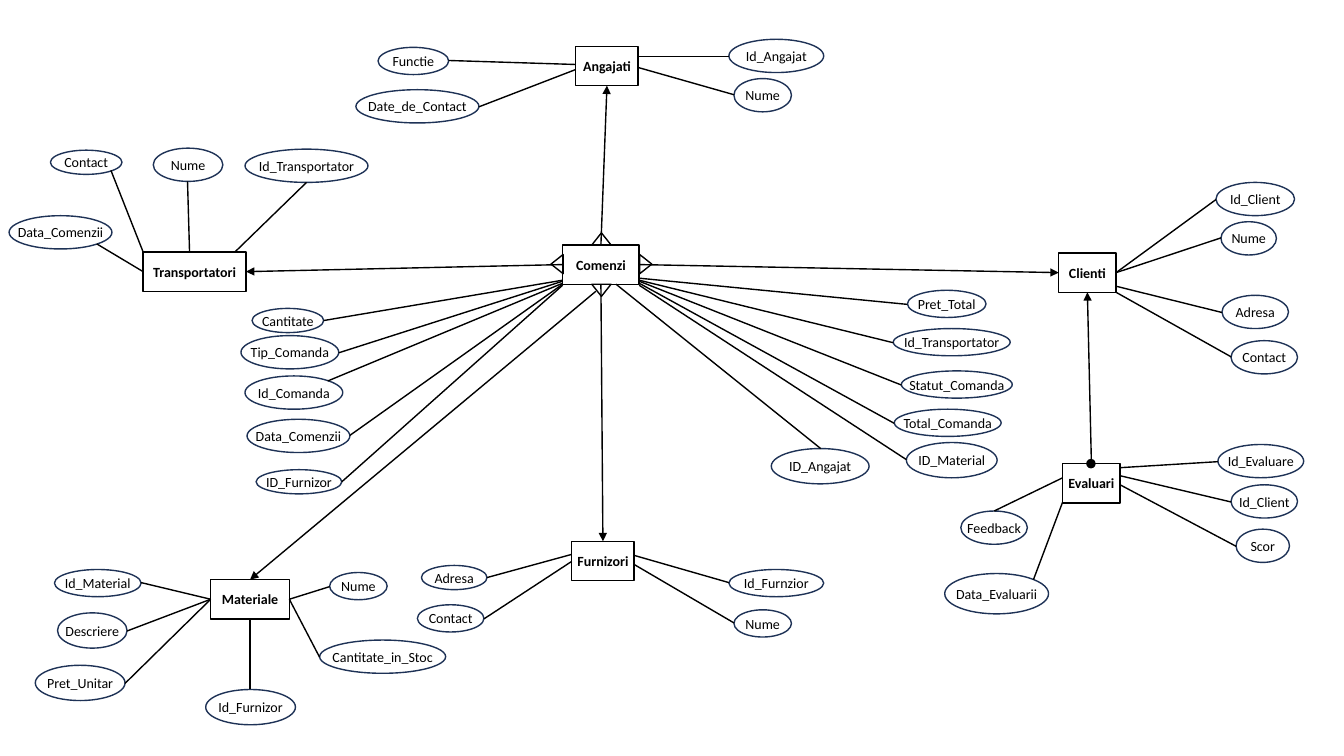
from pptx import Presentation
from pptx.dml.color import RGBColor
from pptx.enum.shapes import MSO_CONNECTOR, MSO_SHAPE as Preset
from pptx.enum.text import MSO_ANCHOR, PP_ALIGN
from pptx.oxml.ns import qn
from pptx.util import Emu, Pt
from lxml.etree import SubElement

PX = 9144
BLACK = RGBColor(0x00, 0x00, 0x00)
NAVY = RGBColor(0x1E, 0x32, 0x56)
TOP, LEFT, BOTTOM, RIGHT, UPPER_RIGHT, LOWER_RIGHT = range(6)
FRACTIONS = [(0.5, 0), (0, 0.5), (0.5, 1), (1, 0.5), (0.85, 0.15), (0.85, 0.85)]
FACING = {TOP: BOTTOM, LEFT: RIGHT, BOTTOM: TOP, RIGHT: LEFT}
FOOT_ROTATION = {TOP: 0, RIGHT: 90, BOTTOM: 180, LEFT: 270}
FLAT, LOW, MIDDLE, TALL, HIGH = 24, 27, 33, 35, 40
ENTITY_HEIGHT = 39
FOOT_WIDTH, FOOT_HEIGHT = 19, 12
DOT = 8

ENTITIES = {
    "Comenzi": (558, 243, 76),
    "Clienti": (1050, 251, 57),
    "Evaluari": (1054, 460, 57),
    "Furnizori": (567, 537, 62),
    "Angajati": (571, 46, 62),
    "Transportatori": (142, 250, 102),
    "Materiale": (209, 575, 78),
}

# Entity, side, first and last line end along that side (None: its middle),
# then attributes: name, left, top, width, height, own anchor if not facing.
GROUPS = [
    ("Comenzi", LEFT, (35, 40), [
        ("Cantitate", 250, 306, 71, FLAT),
        ("Tip_Comanda", 239, 333, 97, MIDDLE),
        ("Id_Comanda", 243, 373, 97, MIDDLE, UPPER_RIGHT),
        ("Data_Comenzii", 245, 416, 102, MIDDLE),
        ("ID_Furnizor", 254, 466, 85, FLAT)]),
    ("Comenzi", RIGHT, (33, 40), [
        ("Pret_Total", 900, 288, 78, LOW),
        ("Id_Transportator", 886, 326, 116, LOW),
        ("Statut_Comanda", 894, 368, 110, LOW),
        ("Total_Comanda", 887, 406, 106, LOW),
        ("ID_Material", 899, 439, 90, TALL)]),
    ("Comenzi", BOTTOM, (53, 53), [("ID_Angajat", 765, 445, 97, TALL)]),
    ("Clienti", RIGHT, None, [
        ("Id_Client", 1206, 181, 78, MIDDLE),
        ("Nume", 1211, 220, 55, MIDDLE)]),
    ("Clienti", RIGHT, (33, 39), [
        ("Adresa", 1212, 293, 66, MIDDLE),
        ("Contact", 1221, 338, 66, MIDDLE)]),
    ("Evaluari", RIGHT, (4, 21), [
        ("Id_Evaluare", 1208, 441, 85, MIDDLE),
        ("Id_Client", 1221, 481, 66, MIDDLE),
        ("Scor", 1226, 525, 53, MIDDLE)]),
    ("Evaluari", LEFT, (14, 38), [
        ("Feedback", 953, 507, 66, MIDDLE, TOP),
        ("Data_Evaluarii", 937, 569, 103, HIGH, UPPER_RIGHT)]),
    ("Furnizori", RIGHT, (14, 23), [
        ("Id_Furnzior", 723, 565, 94, LOW),
        ("Nume", 728, 605, 57, LOW)]),
    ("Furnizori", LEFT, (13, 20), [
        ("Adresa", 418, 561, 65, FLAT),
        ("Contact", 414, 600, 66, LOW)]),
    ("Angajati", RIGHT, (10, 21), [
        ("Id_Angajat", 723, 39, 94, MIDDLE),
        ("Nume", 728, 78, 57, MIDDLE)]),
    ("Angajati", LEFT, (18, 23), [
        ("Functie", 375, 47, 70, LOW),
        ("Date_de_Contact", 353, 89, 122, MIDDLE)]),
    ("Transportatori", TOP, (0, 91), [
        ("Contact", 50, 149, 71, FLAT, LOWER_RIGHT),
        ("Nume", 152, 147, 69, MIDDLE),
        ("Id_Transportator", 243, 148, 122, MIDDLE)]),
    ("Transportatori", LEFT, None, [
        ("Data_Comenzii", 9, 214, 102, MIDDLE, LOWER_RIGHT)]),
    ("Materiale", LEFT, None, [
        ("Id_Material", 54, 565, 86, LOW),
        ("Descriere", 57, 608, 69, TALL),
        ("Pret_Unitar", 35, 660, 89, TALL)]),
    ("Materiale", RIGHT, None, [
        ("Nume", 327, 568, 57, LOW),
        ("Cantitate_in_Stoc", 317, 635, 125, MIDDLE)]),
    ("Materiale", BOTTOM, None, [("Id_Furnizor", 204, 684, 89, TALL)]),
]

RELATIONS = [
    ("Comenzi", LEFT, "Transportatori", RIGHT),
    ("Comenzi", BOTTOM, "Furnizori", TOP),
    ("Comenzi", TOP, "Angajati", BOTTOM),
    ("Comenzi", RIGHT, "Clienti", LEFT),
    ("Evaluari", TOP, "Clienti", BOTTOM),
]


def anchor_point(box, anchor):
    left, top, width, height = box
    across, down = FRACTIONS[anchor]
    return round(left + across * width), round(top + down * height)


def side_point(box, side, offset):
    x, y = anchor_point(box, side)
    return (x, box[1] + offset) if side in (LEFT, RIGHT) else (box[0] + offset, y)


class Diagram:
    font_name = "Calibri"
    font_size = Pt(10)
    line_width = Pt(1)

    def __init__(self, slide):
        self.slide = slide
        self.boxes = {}
        self.entities = {}

    def shape(self, preset, box, color, text="", bold=False):
        shape = self.slide.shapes.add_shape(preset, *(Emu(n * PX) for n in box))
        shape.shadow.inherit = False
        shape.fill.background()
        shape.line.color.rgb = color
        shape.line.width = self.line_width
        if text:
            frame = shape.text_frame
            frame.word_wrap = False
            frame.vertical_anchor = MSO_ANCHOR.MIDDLE
            frame.margin_left = frame.margin_right = 0
            frame.margin_top = frame.margin_bottom = 0
            paragraph = frame.paragraphs[0]
            paragraph.text = text
            paragraph.alignment = PP_ALIGN.CENTER
            font = paragraph.font
            font.name, font.size, font.bold = self.font_name, self.font_size, bold
            font.color.rgb = BLACK
        return shape

    def connector(self, start, end, arrow=False):
        connector = self.slide.shapes.add_connector(
            MSO_CONNECTOR.STRAIGHT, *(Emu(n * PX) for n in start + end))
        connector.line.color.rgb = BLACK
        connector.line.width = self.line_width
        properties = connector._element.spPr
        if arrow:
            SubElement(properties.find(qn("a:ln")), qn("a:tailEnd"), type="triangle")
        SubElement(properties, qn("a:effectLst"))
        return connector

    def entity(self, name, left, top, width):
        box = (left, top, width, ENTITY_HEIGHT)
        self.boxes[name] = box
        self.entities[name] = self.shape(Preset.RECTANGLE, box, BLACK, name, bold=True)

    def attributes(self, name, side, span, attributes):
        box = self.boxes[name]
        gaps = max(len(attributes) - 1, 1)
        for index, (text, left, top, width, height, *own) in enumerate(attributes):
            ellipse = (left, top, width, height)
            self.shape(Preset.OVAL, ellipse, NAVY, text)
            start = anchor_point(ellipse, own[0] if own else FACING[side])
            if span is None:
                connector = self.connector(start, anchor_point(box, side))
                connector.end_connect(self.entities[name], side)
            else:
                first, last = span
                offset = round(first + (last - first) * index / gaps)
                self.connector(start, side_point(box, side, offset))

    def relation(self, source, start, target, end):
        connector = self.connector(anchor_point(self.boxes[source], start),
                                   anchor_point(self.boxes[target], end), arrow=True)
        connector.begin_connect(self.entities[source], start)
        connector.end_connect(self.entities[target], end)

    def crow_foot(self, name, side):
        x, y = anchor_point(self.boxes[name], side)
        across, down = FRACTIONS[side]
        x += round((2 * across - 1) * FOOT_HEIGHT / 2) - FOOT_WIDTH // 2
        y += round((2 * down - 1) * FOOT_HEIGHT / 2) - FOOT_HEIGHT // 2
        foot = self.shape(Preset.ISOSCELES_TRIANGLE, (x, y, FOOT_WIDTH, FOOT_HEIGHT), BLACK)
        foot.rotation = FOOT_ROTATION[side]

    def dot(self, name, side):
        x, y = anchor_point(self.boxes[name], side)
        box = (x - DOT // 2, y - DOT // 2, DOT, DOT)
        dot = self.shape(Preset.FLOWCHART_CONNECTOR, box, BLACK)
        dot.fill.solid()
        dot.fill.fore_color.rgb = BLACK


def main():
    presentation = Presentation()
    presentation.slide_width = Emu(1333 * PX)
    presentation.slide_height = Emu(750 * PX)
    diagram = Diagram(presentation.slides.add_slide(presentation.slide_layouts[6]))
    for name, place in ENTITIES.items():
        diagram.entity(name, *place)
    for group in GROUPS:
        diagram.attributes(*group)
    for relation in RELATIONS:
        diagram.relation(*relation)
    to_materials = diagram.connector(
        (591, 289), anchor_point(diagram.boxes["Materiale"], TOP), arrow=True)
    to_materials.end_connect(diagram.entities["Materiale"], TOP)
    for side in FOOT_ROTATION:
        diagram.crow_foot("Comenzi", side)
    diagram.dot("Evaluari", TOP)
    presentation.save("out.pptx")


if __name__ == "__main__":
    main()
